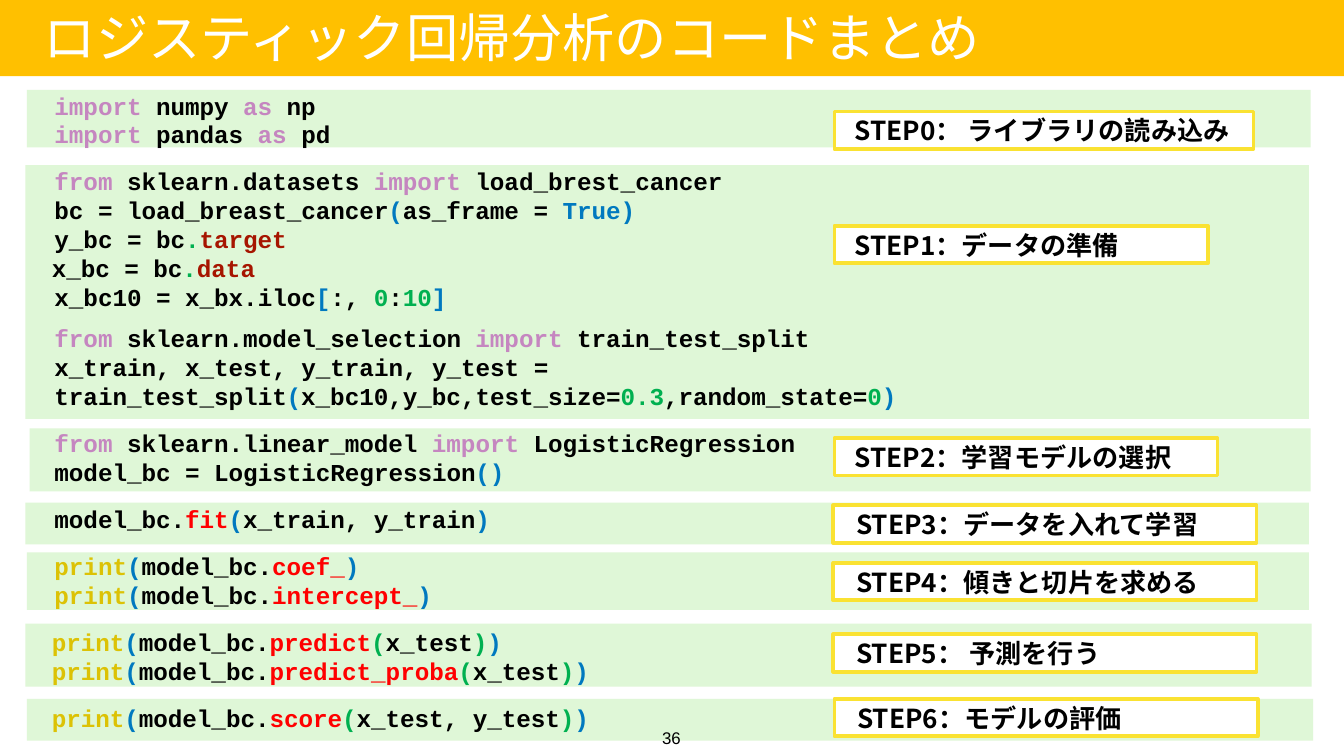
from pptx import Presentation
from pptx.dml.color import RGBColor
from pptx.enum.shapes import MSO_SHAPE
from pptx.enum.text import MSO_ANCHOR, PP_ALIGN
from pptx.oxml.ns import qn
from pptx.util import Cm, Pt
from lxml import etree

RECTANGLE = MSO_SHAPE.RECTANGLE
TOP, MIDDLE = MSO_ANCHOR.TOP, MSO_ANCHOR.MIDDLE
LEFT, CENTER = PP_ALIGN.LEFT, PP_ALIGN.CENTER

WHITE = RGBColor(0xFF, 0xFF, 0xFF)
BLACK = RGBColor(0x00, 0x00, 0x00)
AMBER = RGBColor(0xFF, 0xC0, 0x00)
MINT = RGBColor(0xDF, 0xF7, 0xD7)
YELLOW = RGBColor(0xFA, 0xE2, 0x32)
PURPLE = RGBColor(0xC5, 0x86, 0xC0)
BLUE = RGBColor(0x00, 0x79, 0xBF)
GREEN = RGBColor(0x00, 0xB0, 0x50)
BROWN = RGBColor(0xA6, 0x15, 0x00)
RED = RGBColor(0xFF, 0x00, 0x00)
GOLD = RGBColor(0xDC, 0xC2, 0x05)

SANS, MONO, PLAIN = "Noto Sans CJK JP", "Courier New", "Arial"
LINE_PITCH = Pt(15.5)
BLOCK_GAP, SMALL_GAP = Pt(9.7), Pt(6.3)
CODE_INDENT, PRINT_INDENT = Cm(0.43), Cm(0.38)


def import_line(library, alias):
    return [("import ", PURPLE), (library + " ", BLACK), ("as ", PURPLE), (alias, BLACK)]


def from_line(module, name):
    return [("from ", PURPLE), (module + " ", BLACK), ("import ", PURPLE), (name, BLACK)]


def print_line(member, arguments=None):
    call = [("(", GREEN), (arguments, BLACK), (")", GREEN)] if arguments else []
    return [("print", GOLD), ("(", BLUE), ("model_bc.", BLACK), (member, RED), *call, (")", BLUE)]


CODE_BLOCKS = [
    (0, CODE_INDENT, [import_line("numpy", "np"), import_line("pandas", "pd")]),
    (BLOCK_GAP, CODE_INDENT, [
        from_line("sklearn.datasets", "load_brest_cancer"),
        [("bc = load_breast_cancer", BLACK), ("(", BLUE), ("as_frame = ", BLACK), ("True)", BLUE)],
        [("y_bc = bc", BLACK), (".", GREEN), ("target", BROWN)],
    ]),
    (0, PRINT_INDENT, [[("x_bc = bc", BLACK), (".", GREEN), ("data", BROWN)]]),
    (0, CODE_INDENT, [
        [("x_bc10 = x_bx.iloc", BLACK), ("[", BLUE), (":, ", BLACK), ("0", GREEN),
         (":", BLACK), ("10", GREEN), ("]", BLUE)],
    ]),
    (SMALL_GAP, CODE_INDENT, [
        from_line("sklearn.model_selection", "train_test_split"),
        [("x_train, x_test, y_train, y_test = train_test_split", BLACK), ("(", BLUE),
         ("x_bc10,y_bc,test_size=", BLACK), ("0.3", GREEN), (",random_state=", BLACK),
         ("0", GREEN), (")", BLUE)],
    ]),
    (BLOCK_GAP, CODE_INDENT, [
        from_line("sklearn.linear_model", "LogisticRegression"),
        [("model_bc = LogisticRegression", BLACK), ("()", BLUE)],
    ]),
    (BLOCK_GAP, CODE_INDENT, [
        [("model_bc.", BLACK), ("fit", RED), ("(", BLUE), ("x_train, y_train", BLACK), (")", BLUE)],
    ]),
    (BLOCK_GAP, CODE_INDENT, [print_line("coef_"), print_line("intercept_")]),
    (BLOCK_GAP, PRINT_INDENT, [
        print_line("predict", "x_test"),
        print_line("predict_proba", "x_test"),
    ]),
    (BLOCK_GAP, PRINT_INDENT, [print_line("score", "x_test, y_test")]),
]

PANELS = [
    (0.51, 13.21, 24.31, 0.79),
    (0.48, 11.79, 24.31, 1.19),
    (0.51, 10.44, 24.23, 1.09),
    (0.48, 9.5, 24.26, 0.79),
    (0.56, 8.1, 24.21, 1.19),
    (0.48, 3.12, 24.26, 4.8),
    (0.51, 1.7, 24.26, 1.09),
]

STEPS = [
    (15.77, 2.11, 7.92, 0, "STEP0： ライブラリの読み込み"),
    (15.77, 4.27, 7.06, 0, "STEP1：データの準備"),
    (15.77, 8.28, 7.24, 0, "STEP2：学習モデルの選択"),
    (15.75, 9.55, 8, 0.05, "STEP3：データを入れて学習"),
    (15.75, 10.64, 8, 0.05, "STEP4：傾きと切片を求める"),
    (15.75, 11.99, 8, 0.05, "STEP5： 予測を行う"),
    (15.77, 13.21, 8, 0.05, "STEP6：モデルの評価"),
]


class SlideWriter:
    def __init__(self, slide):
        self.shapes = slide.shapes

    def span(self, para, text, font, size, color, bold=False):
        run = para.add_run()
        run.text = text
        run.font.name = font
        run.font.size = Pt(size)
        run.font.bold = bold
        run.font.color.rgb = color
        east_asian = etree.Element(qn("a:ea"), typeface=font)
        run.font._element.find(qn("a:latin")).addnext(east_asian)

    def frame(self, box, inset, anchor=MIDDLE, wrap=True, right=None):
        frame = box.text_frame
        frame.word_wrap = wrap
        frame.vertical_anchor = anchor
        frame.margin_left = Cm(inset)
        edge = Cm(inset if right is None else right)
        frame.margin_top = frame.margin_right = frame.margin_bottom = edge
        return frame

    def indent(self, para, width):
        para._p.get_or_add_pPr().set("marL", str(width))

    def rectangle(self, left, top, width, height, fill, line=None):
        box = self.shapes.add_shape(RECTANGLE, Cm(left), Cm(top), Cm(width), Cm(height))
        box.shadow.inherit = False
        box.fill.solid()
        box.fill.fore_color.rgb = fill
        if line is None:
            box.line.fill.background()
        else:
            box.line.color.rgb = line
            box.line.width = Pt(2)
        return box

    def text(self, left, top, width, height, text, font, size, color, inset, anchor, align):
        box = self.shapes.add_textbox(Cm(left), Cm(top), Cm(width), Cm(height))
        para = self.frame(box, inset, anchor, wrap=False).paragraphs[0]
        para.alignment = align
        self.span(para, text, font, size, color)

    def code(self, left, top, width, height, blocks):
        box = self.shapes.add_textbox(Cm(left), Cm(top), Cm(width), Cm(height))
        frame = self.frame(box, 0)
        para = frame.paragraphs[0]
        for gap, indent, lines in blocks:
            for number, spans in enumerate(lines):
                if para is None:
                    para = frame.add_paragraph()
                para.line_spacing = LINE_PITCH
                if gap and number == 0:
                    para.space_before = gap
                self.indent(para, indent)
                for text, color in spans:
                    self.span(para, text, MONO, 13, color, bold=True)
                para = None

    def step(self, left, top, width, inset, text):
        box = self.rectangle(left, top, width, 0.71, WHITE, YELLOW)
        para = self.frame(box, inset, right=0.05).paragraphs[0]
        para.alignment = LEFT
        self.indent(para, PRINT_INDENT)
        self.span(para, text, SANS, 14, BLACK, bold=True)


def main():
    deck = Presentation()
    deck.slide_width, deck.slide_height = Cm(25.4), Cm(14.29)
    page = SlideWriter(deck.slides.add_slide(deck.slide_layouts[6]))
    for panel in PANELS:
        page.rectangle(*panel, MINT)
    page.code(0.6, 1.58, 23.39, 12.4, CODE_BLOCKS)
    page.rectangle(0, -0.03, 25.4, 1.47, AMBER)
    page.text(0.78, 0.05, 18.06, 1.3, "ロジスティック回帰分析のコードまとめ",
              SANS, 28, WHITE, 0.05, MIDDLE, LEFT)
    for step in STEPS:
        page.step(*step)
    page.text(12.29, 13.61, 0.8, 0.66, "36", PLAIN, 9, BLACK, 0.15, TOP, CENTER)
    deck.save("out.pptx")


if __name__ == "__main__":
    main()
